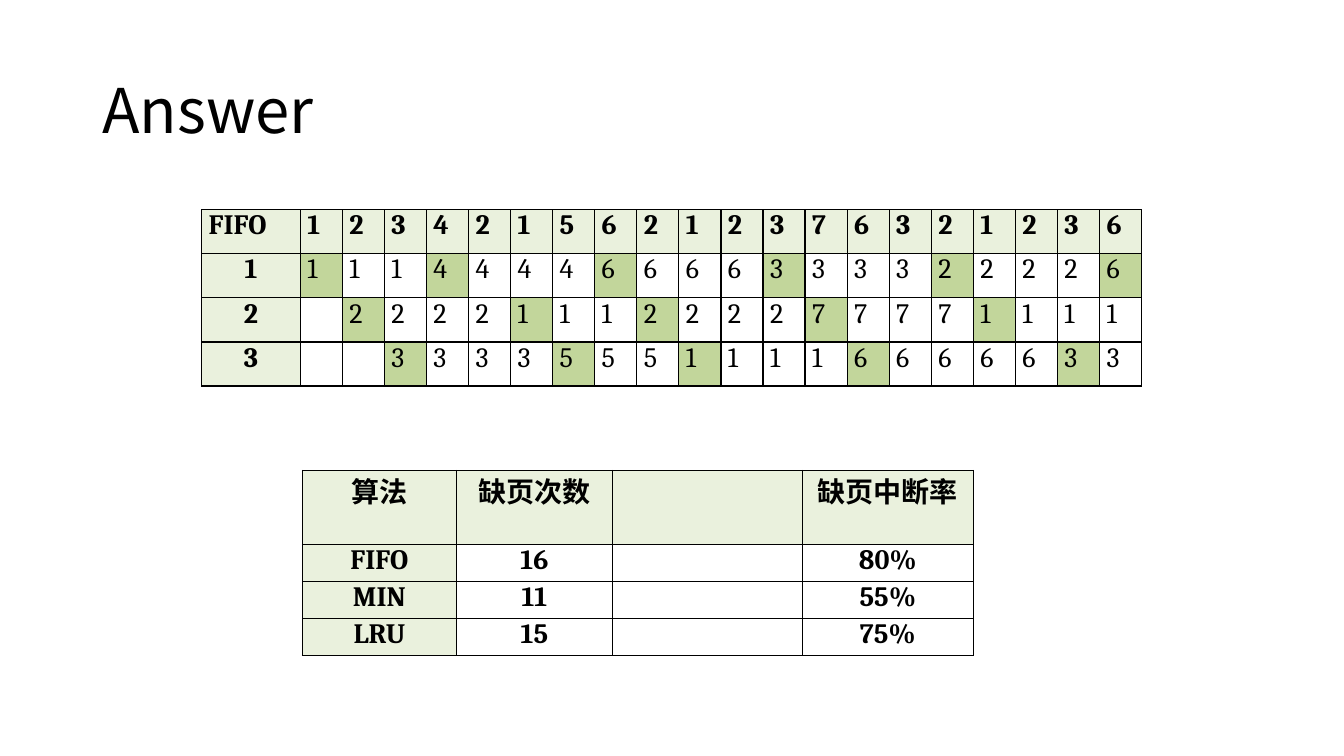
"""Build the answer slide with the FIFO page trace and the fault rates."""

from dataclasses import dataclass

from lxml.etree import SubElement as Sub
from pptx import Presentation
from pptx.dml.color import RGBColor
from pptx.enum.text import MSO_ANCHOR as Anchor, PP_ALIGN as Align
from pptx.oxml.ns import qn
from pptx.shapes.shapetree import SlideShapes as Shapes
from pptx.table import _Cell as Cell
from pptx.text.text import _Paragraph as Para
from pptx.util import Pt

BLACK = RGBColor(0x00, 0x00, 0x00)
PALE = RGBColor(0xEA, 0xF1, 0xDD)
GREEN = RGBColor(0xC2, 0xD6, 0x9B)
SANS = "Noto Sans CJK SC"
SERIF = "Cambria"
INSET = dict(margin_left=Pt(5), margin_right=Pt(5), margin_top=0, margin_bottom=0)


@dataclass
class Look:
    text: str
    fill: RGBColor | None
    bold: bool
    align: Align


@dataclass
class Grid:
    left: float
    top: float
    cols: list[float]
    rows: list[float]
    looks: list[list[Look]]


PAGES = "12342156212376321236"
FRAMES = ["11144446666333322226", " 2222111222277771111", "  333355511116666633"]
RATES = [
    ["算法", "缺页次数", "", "缺页中断率"],
    ["FIFO", "16", "", "80%"],
    ["MIN", "11", "", "55%"],
    ["LRU", "15", "", "75%"],
]


def apply(item: object, form: dict[str, object]) -> None:
    for key, value in form.items():
        setattr(item, key, value)


def write(para: Para, text: str, face: str, size: float, bold: bool) -> None:
    run = para.add_run()
    run.text = text
    apply(run.font, dict(name=face, size=Pt(size), bold=bold))
    run.font.color.rgb = BLACK
    Sub(run.font._element, qn("a:ea"), typeface=SANS)


def border(cell: Cell) -> None:
    props = cell._tc.get_or_add_tcPr()
    for side in ("lnL", "lnR", "lnT", "lnB"):
        line = Sub(props, qn(f"a:{side}"), w=str(Pt(1)))
        fill = Sub(line, qn("a:solidFill"))
        Sub(fill, qn("a:srgbClr"), val=str(BLACK))


def paint(cell: Cell, look: Look) -> None:
    border(cell)
    apply(cell, INSET)
    if look.fill is None:
        cell.fill.background()
    else:
        cell.fill.solid()
        cell.fill.fore_color.rgb = look.fill
    para = cell.text_frame.paragraphs[0]
    para.alignment = look.align
    if look.text:
        write(para, look.text, SERIF, 20, look.bold)


def draw(shapes: Shapes, grid: Grid) -> None:
    size = Pt(sum(grid.cols)), Pt(sum(grid.rows))
    frame = shapes.add_table(
        len(grid.rows), len(grid.cols), Pt(grid.left), Pt(grid.top), *size
    )
    table = frame.table
    apply(table, dict(first_row=False, horz_banding=False))
    for col, width in zip(table.columns, grid.cols):
        col.width = Pt(width)
    for row, high, looks in zip(table.rows, grid.rows, grid.looks):
        row.height = Pt(high)
        for cell, look in zip(row.cells, looks):
            paint(cell, look)


def trace() -> Grid:
    looks = [[Look(text, PALE, True, Align.JUSTIFY) for text in ["FIFO", *PAGES]]]
    for num, pages in enumerate(FRAMES, 1):
        row = [Look(str(num), PALE, True, Align.CENTER)]
        for last, page in zip(" " + pages, pages):
            fill = GREEN if page != last else None
            row.append(Look(page.strip(), fill, False, Align.JUSTIFY))
        looks.append(row)
    return Grid(144, 149.75, [70.5] + [30.06] * len(PAGES), [31.5] * 4, looks)


def rates() -> Grid:
    looks = [
        [
            Look(text, PALE if r == 0 or c == 0 else None, True, Align.CENTER)
            for c, text in enumerate(row)
        ]
        for r, row in enumerate(RATES)
    ]
    return Grid(216, 336, [110, 111.5, 135.5, 122.5], [52.8] + [26.4] * 3, looks)


def main() -> None:
    deck = Presentation()
    apply(deck, dict(slide_width=Pt(960), slide_height=Pt(540)))
    slide = deck.slides.add_slide(deck.slide_layouts[5])
    title = slide.shapes.title
    apply(title, dict(left=Pt(66), top=Pt(28.75), width=Pt(828), height=Pt(104.4)))
    title.text_frame.vertical_anchor = Anchor.MIDDLE
    para = title.text_frame.paragraphs[0]
    apply(para, dict(alignment=Align.LEFT, line_spacing=0.9))
    write(para, "Answer", SANS, 44, False)
    for grid in (trace(), rates()):
        draw(slide.shapes, grid)
    deck.save("out.pptx")


if __name__ == "__main__":
    main()
